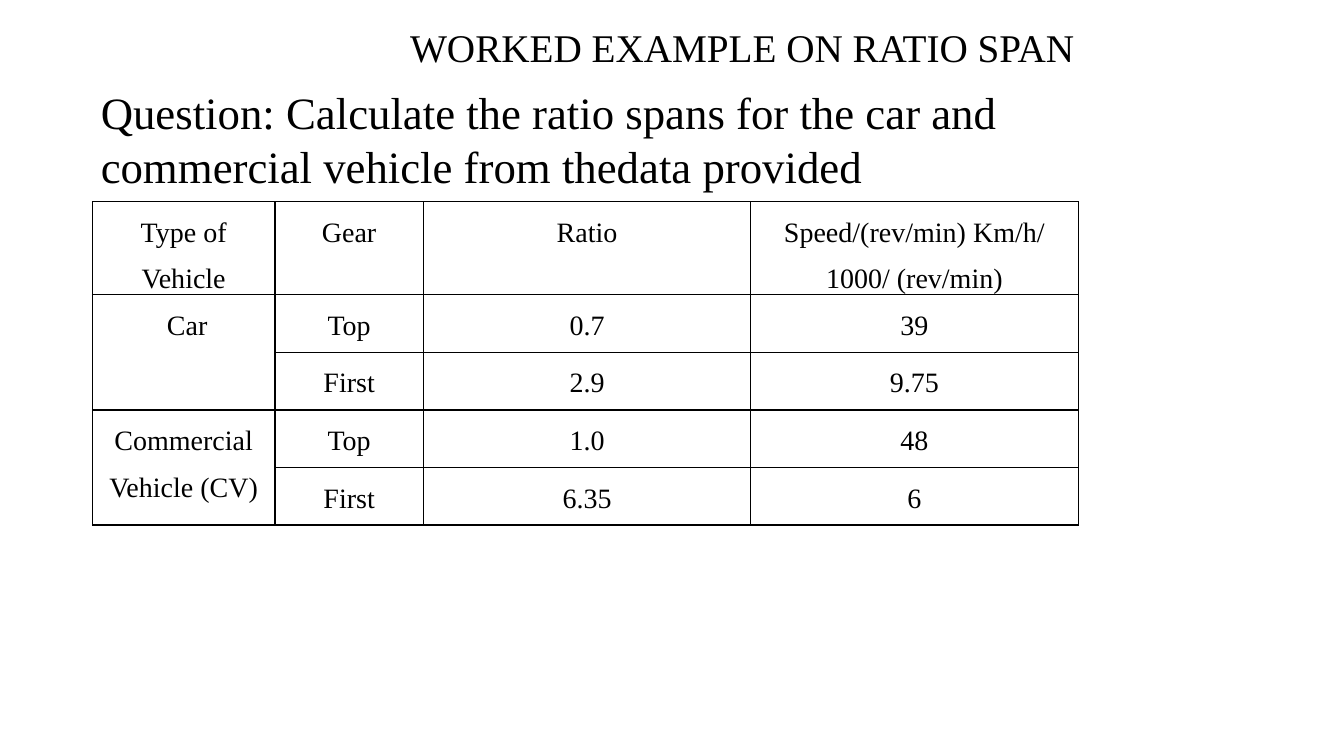
"""Build a slide with a worked example on gearbox ratio span."""
import pptx
import pptx.dml.color
import pptx.enum.text
import pptx.oxml
import pptx.oxml.ns
import pptx.util
from pptx.util import Cm

BLACK = "000000"
ALIGN = pptx.enum.text.PP_ALIGN


def color(value):
    return pptx.dml.color.RGBColor.from_string(value)


def add_run(p, text, size):
    r = p.add_run()
    r.text = text
    r.font.name = "Times New Roman"
    r.font.size = pptx.util.Pt(size)
    r.font.color.rgb = color(BLACK)


prs = pptx.Presentation()
prs.slide_width, prs.slide_height = Cm(33.87), Cm(19.05)
s = prs.slides.add_slide(prs.slide_layouts[5])

title = s.shapes.title
title.left, title.top, title.width, title.height = Cm(10.08), Cm(0.46), Cm(18.29), Cm(2.64)
question = s.shapes.add_textbox(Cm(2.29), Cm(2.01), Cm(28.27), Cm(3))
headings = [
    (title, "WORKED EXAMPLE ON RATIO SPAN", 28),
    (question, "Question: Calculate the ratio spans for the car and "
               "commercial vehicle from thedata provided", 32),
]
for sp, text, size in headings:
    tf = sp.text_frame
    tf.word_wrap = True
    tf.auto_size = pptx.enum.text.MSO_AUTO_SIZE.NONE
    tf.vertical_anchor = pptx.enum.text.MSO_ANCHOR.TOP
    p = tf.paragraphs[0]
    p.alignment = ALIGN.LEFT
    add_run(p, text, size)

rows = [
    ["Type of Vehicle", "Gear", "Ratio", "Speed/(rev/min) Km/h/ 1000/ (rev/min)"],
    [" Car", "Top", "0.7", "39"],
    ["", "First", "2.9", "9.75"],
    ["Commercial Vehicle (CV)", "Top", "1.0", "48"],
    ["", "First", "6.35", "6"],
]
widths = [4.6, 3.74, 8.25, 8.25]
heights = [2.34] + [1.45] * 4
table = s.shapes.add_table(len(rows), len(widths), Cm(2.33), Cm(5.08),
                           Cm(sum(widths)), Cm(sum(heights))).table
table.first_row = table.horz_banding = False
for column, width in zip(table.columns, widths):
    column.width = Cm(width)
for row, height in zip(table.rows, heights):
    row.height = Cm(height)
for top in (1, 3):
    table.cell(top, 0).merge(table.cell(top + 1, 0))

for i, row in enumerate(rows):
    for j, text in enumerate(row):
        cell = table.cell(i, j)
        cell.margin_left = cell.margin_right = Cm(0.18)
        cell.margin_top = cell.margin_bottom = Cm(0)
        tcPr = cell._tc.get_or_add_tcPr()
        for side in ("lnL", "lnR", "lnT", "lnB"):
            tcPr.append(pptx.oxml.parse_xml(
                f'<a:{side} {pptx.oxml.ns.nsdecls("a")} w="12700"><a:solidFill>'
                f'<a:srgbClr val="{BLACK}"/></a:solidFill></a:{side}>'))
        cell.fill.background()
        if text:
            p = cell.text_frame.paragraphs[0]
            p.alignment = ALIGN.CENTER
            p.line_spacing = 1.5
            add_run(p, text, 20)

prs.save("out.pptx")
